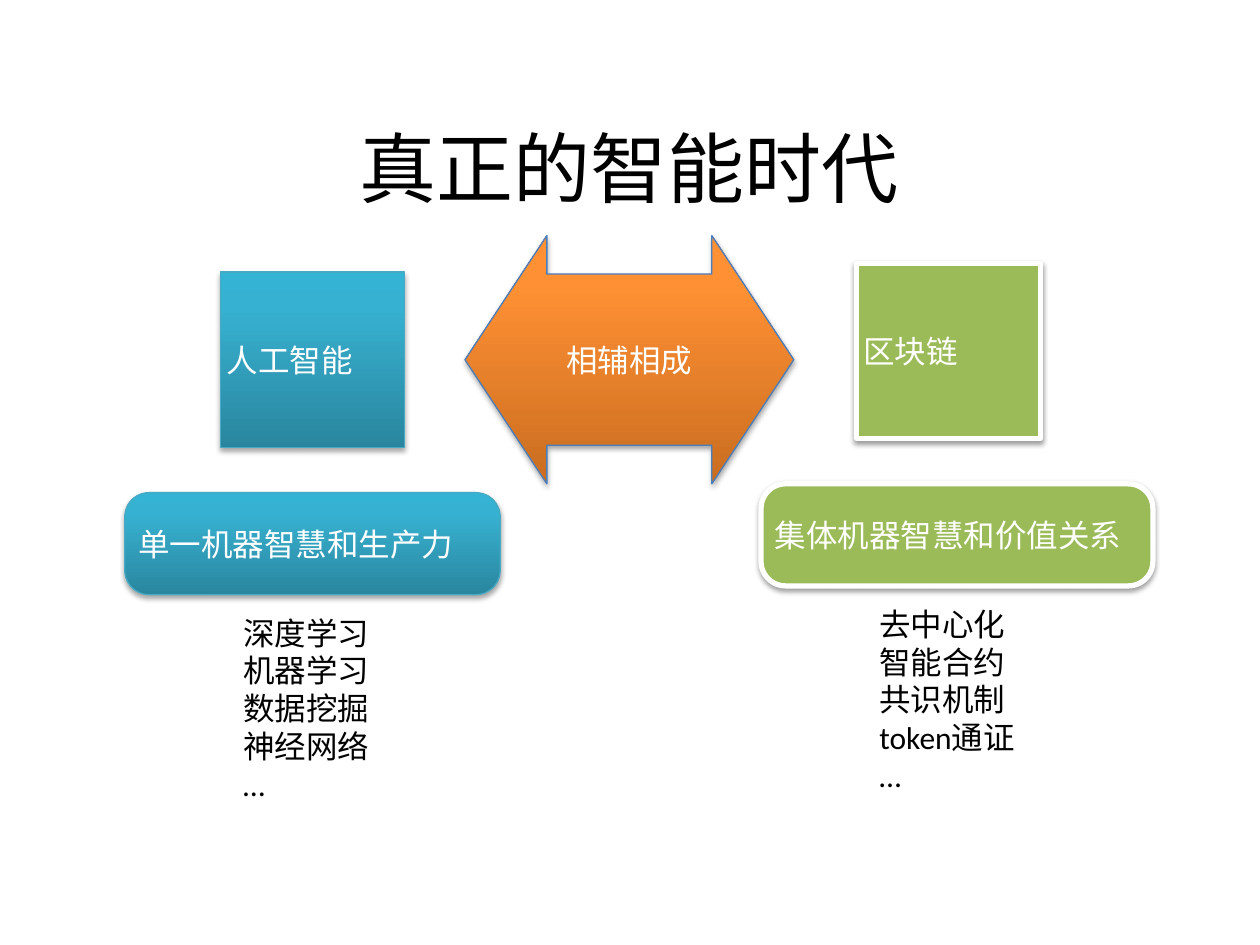
from pptx import Presentation
from pptx.dml.color import RGBColor
from pptx.enum.shapes import MSO_SHAPE
from pptx.enum.text import MSO_ANCHOR, MSO_AUTO_SIZE, PP_ALIGN
from pptx.oxml import parse_xml
from pptx.oxml.ns import nsdecls, qn
from pptx.util import Inches, Pt

TEAL = ("2A869F", "37B1D1", "34B3D5")
ORANGE = ("C96D20", "FF9034", "FF9035")
GREEN = "9BBB59"


def color(code):
    """Turn a hex string into a colour."""
    return RGBColor.from_string(code)


def write(shape, text, size=18, ink="FFFFFF", align=PP_ALIGN.LEFT,
          anchor=MSO_ANCHOR.MIDDLE):
    """Put formatted text into a shape, one paragraph a line."""
    frame = shape.text_frame
    frame.text = text
    frame.word_wrap = True
    frame.auto_size = MSO_AUTO_SIZE.NONE
    frame.vertical_anchor = anchor
    frame.margin_left = frame.margin_right = Inches(0.05)
    frame.margin_top = frame.margin_bottom = Inches(0.05)
    for para in frame.paragraphs:
        para.alignment = align
        para.font.name = "Calibri"
        para.font.size = Pt(size)
        para.font.color.rgb = color(ink)


def paint(shape, fill):
    """Fill a shape with one colour or with a three-stop gradient."""
    if isinstance(fill, str):
        shape.fill.solid()
        shape.fill.fore_color.rgb = color(fill)
        return
    shape.fill.gradient()
    shape.fill.gradient_angle = 90
    stops = shape._element.spPr.find(qn("a:gradFill")).find(qn("a:gsLst"))
    for stop in list(stops):
        stops.remove(stop)
    for place, code in zip((0, 80, 100), fill):
        stops.append(parse_xml(
            f'<a:gs {nsdecls("a")} pos="{place * 1000}"><a:srgbClr val="{code}"/></a:gs>'))


def shade(shape, depth, drop):
    """Give a shape a soft shadow below it."""
    shape.shadow.inherit = False
    shape._element.spPr.find(qn("a:effectLst")).append(parse_xml(
        f'<a:outerShdw {nsdecls("a")} blurRad="{Pt(3)}" dist="{Pt(drop)}" '
        'dir="5400000" rotWithShape="0"><a:srgbClr val="000000">'
        f'<a:alpha val="{depth * 1000}"/></a:srgbClr></a:outerShdw>'))


def block(slide, kind, box, text, fill, edge, width=0.75, depth=35, drop=1.8,
          adjust=(), align=PP_ALIGN.LEFT):
    """Draw a filled shape with a label."""
    shape = slide.shapes.add_shape(kind, *map(Inches, box))
    for index, value in enumerate(adjust):
        shape.adjustments[index] = value
    paint(shape, fill)
    shape.line.color.rgb = color(edge)
    shape.line.width = Pt(width)
    shade(shape, depth, drop)
    write(shape, text, align=align)


def column(slide, box, name, role, topics, **style):
    """Stack a tile, a rounded band and a list of topics."""
    left, top, width = box
    block(slide, MSO_SHAPE.RECTANGLE, (left + 0.76, top, 1.46, 1.39), name, **style)
    block(slide, MSO_SHAPE.ROUNDED_RECTANGLE, (left, top + 1.75, width, 0.81), role,
          adjust=(0.24,), **style)
    area = (left + 0.89, top + 2.66, width - 1.78, 1.78)
    notes = slide.shapes.add_textbox(*map(Inches, area))
    write(notes, "\n".join(topics), ink="000000", anchor=MSO_ANCHOR.TOP)


def heading(slide, box):
    """Place the slide title."""
    title = slide.shapes.title
    title.left, title.top, title.width, title.height = map(Inches, box)
    write(title, "真正的智能时代", size=44, ink="000000", align=PP_ALIGN.CENTER)


def main():
    """Build and save the slide."""
    deck = Presentation()
    deck.slide_width, deck.slide_height = Inches(10), Inches(7.5)
    slide = deck.slides.add_slide(deck.slide_layouts[5])
    heading(slide, (2.8, 0.84, 4.39, 0.96))
    column(slide, (0.99, 2.16, 2.98), "人工智能", "单一机器智慧和生产力",
           ("深度学习", "机器学习", "数据挖掘", "神经网络", "…"),
           fill=TEAL, edge="46AAC4")
    column(slide, (6.04, 2.09, 3.11), "区块链", "集体机器智慧和价值关系",
           ("去中心化", "智能合约", "共识机制", "token通证", "…"),
           fill=GREEN, edge="FFFFFF", width=3, depth=38, drop=1.6)
    block(slide, MSO_SHAPE.LEFT_RIGHT_ARROW, (3.69, 1.87, 2.61, 1.97), "相辅相成",
          ORANGE, "4A7EBB", adjust=(0.69, 0.33), align=PP_ALIGN.CENTER)
    deck.save("out.pptx")


if __name__ == "__main__":
    main()
